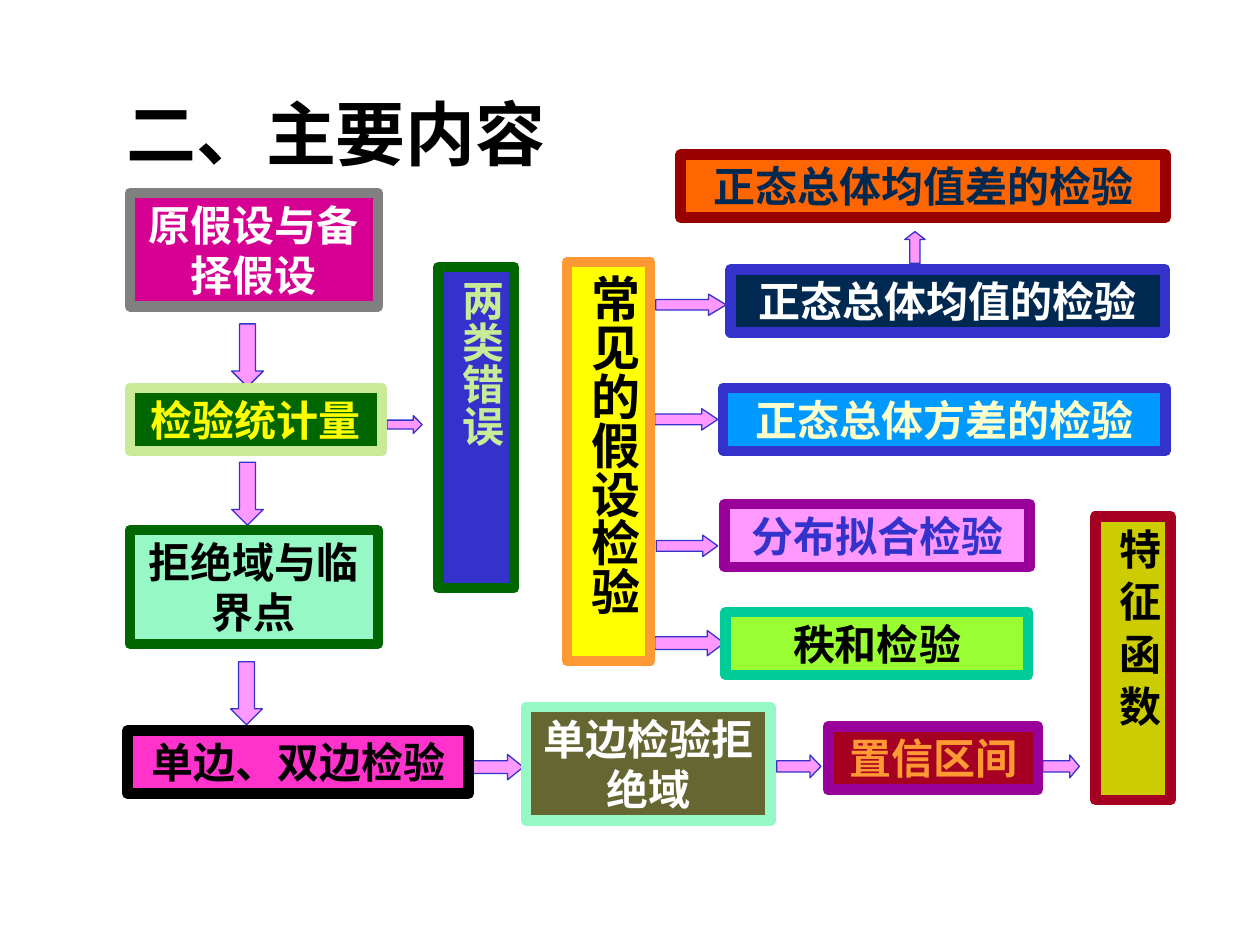
from pptx import Presentation
from pptx.dml.color import RGBColor
from pptx.enum.shapes import MSO_SHAPE
from pptx.enum.text import MSO_ANCHOR, MSO_AUTO_SIZE, PP_ALIGN
from pptx.util import Cm, Pt

FONT = "Times New Roman"
BLACK = RGBColor(0x00, 0x00, 0x00)
WHITE = RGBColor(0xFF, 0xFF, 0xFF)
GRAY = RGBColor(0x80, 0x80, 0x80)
MAGENTA = RGBColor(0xD6, 0x00, 0x93)
ROSE = RGBColor(0xFF, 0x33, 0xCC)
PINK = RGBColor(0xFF, 0x99, 0xFF)
PURPLE = RGBColor(0x99, 0x00, 0x99)
BLUE = RGBColor(0x33, 0x33, 0xCC)
NAVY = RGBColor(0x00, 0x29, 0x52)
SKY = RGBColor(0x00, 0x99, 0xFF)
GREEN = RGBColor(0x00, 0x66, 0x00)
MINT = RGBColor(0x96, 0xF8, 0xC5)
PALE = RGBColor(0xC9, 0xEB, 0x97)
LIME = RGBColor(0x99, 0xFF, 0x33)
TEAL = RGBColor(0x00, 0xCC, 0x99)
OLIVE = RGBColor(0x66, 0x66, 0x33)
MUSTARD = RGBColor(0xCC, 0xCC, 0x00)
YELLOW = RGBColor(0xFF, 0xFF, 0x00)
CREAM = RGBColor(0xFF, 0xFF, 0xCC)
AMBER = RGBColor(0xFF, 0x99, 0x33)
ORANGE = RGBColor(0xFF, 0x66, 0x00)
MAROON = RGBColor(0x99, 0x00, 0x00)
RED = RGBColor(0xA5, 0x00, 0x21)

LOW, HIGH = 1.27, 2.29  # heights of boxes with one and two lines
RIGHT, DOWN, UP = MSO_SHAPE.RIGHT_ARROW, MSO_SHAPE.DOWN_ARROW, MSO_SHAPE.UP_ARROW


def add_form(slide, kind, box, fill, line, weight):
    """Add a flat preset shape; box is left, top, width, height in cm."""
    form = slide.shapes.add_shape(kind, *map(Cm, box))
    form.shadow.inherit = False
    form.fill.solid()
    form.fill.fore_color.rgb = fill
    form.line.color.rgb = line
    form.line.width = Pt(weight)
    return form


def add_arrow(slide, kind, box, head):
    """Add a block arrow; head is the head length over the arrow's thickness."""
    arrow = add_form(slide, kind, box, PINK, BLUE, 0.75)
    arrow.adjustments[0] = 0.5
    arrow.adjustments[1] = head


def set_text(shape, text, size, color, align, anchor):
    frame = shape.text_frame
    frame.text = text
    frame.word_wrap = True
    frame.auto_size = MSO_AUTO_SIZE.SHAPE_TO_FIT_TEXT
    frame.vertical_anchor = anchor
    para = frame.paragraphs[0]
    para.alignment = align
    font = para.font
    font.name, font.size, font.bold = FONT, Pt(size), True
    font.color.rgb = color
    return frame


def add_topic(slide, text, box, fill, line, color, size=24, upright=False):
    """Add a framed topic box, with upright text if asked."""
    topic = add_form(slide, MSO_SHAPE.RECTANGLE, box, fill, line, 6)
    frame = set_text(topic, text, size, color, PP_ALIGN.CENTER, MSO_ANCHOR.TOP)
    frame.paragraphs[0].space_before = Pt(size * 0.625)
    if upright:
        topic.element.txBody.bodyPr.set("vert", "eaVert")
        frame.margin_left = frame.margin_right = Cm(0.13)
        frame.margin_top = frame.margin_bottom = Cm(0.25)


def add_title(slide, left, top, width, height):
    title = slide.shapes.title
    title.left, title.top = Cm(left), Cm(top)
    title.width, title.height = Cm(width), Cm(height)
    set_text(title, "二、主要内容", 40, BLACK, PP_ALIGN.LEFT, MSO_ANCHOR.MIDDLE)


def add_basics(slide, left, top):
    """Column of basic notions, with the two error types beside it."""
    for x, y in ((2.05, 2.64), (2.05, 5.43), (2.03, 9.45)):
        add_arrow(slide, DOWN, (left + x, top + y, 0.64, 1.27), 0.5)
    add_arrow(slide, RIGHT, (left + 5.18, top + 4.49, 0.71, 0.36), 0.49)
    topics = (
        ("原假设与备择假设", 0, 5, HIGH, MAGENTA, GRAY, WHITE),
        ("检验统计量", 3.93, 5.08, LOW, GREEN, PALE, YELLOW),
        ("拒绝域与临界点", 6.8, 5, HIGH, MINT, GREEN, BLACK),
    )
    for text, y, width, height, *colors in topics:
        add_topic(slide, text, (left, top + y, width, height), *colors)
    add_topic(slide, "两类错误", (left + 6.22, top + 1.49, 1.52, 6.48),
              BLUE, GREEN, PALE, upright=True)


def add_tests(slide, left, top):
    """Common tests: an upright heading that branches into its kinds."""
    branches = (
        (1.79, 2.81, 1.42, 0.43, 0.83),
        (1.77, 5.12, 1.27, 0.43, 0.75),
        (1.8, 7.67, 1.24, 0.43, 0.7),
        (1.77, 9.59, 1.4, 0.51, 0.67),
    )
    for x, y, width, height, head in branches:
        add_arrow(slide, RIGHT, (left + x, top + y, width, height), head)
    add_arrow(slide, UP, (left + 6.81, top + 1.55, 0.41, 0.64), 0.39)
    add_topic(slide, "常见的假设检验", (left, top + 2.16, 1.68, 8.05),
              YELLOW, AMBER, BLACK, size=28, upright=True)
    topics = (
        ("正态总体均值差的检验", 2.29, 0, 9.78, ORANGE, MAROON, NAVY),
        ("正态总体均值的检验", 3.3, 2.31, 8.76, NAVY, BLUE, WHITE),
        ("正态总体方差的检验", 3.15, 4.7, 8.92, SKY, BLUE, CREAM),
        ("分布拟合检验", 3.18, 7.04, 6.15, PINK, PURPLE, BLUE),
        ("秩和检验", 3.2, 9.22, 6.1, LIME, TEAL, BLACK),
    )
    for text, x, y, width, *colors in topics:
        add_topic(slide, text, (left + x, top + y, width, LOW), *colors)


def add_sides(slide, left, top):
    """Bottom row from one- and two-sided tests to the upright last topic."""
    links = (
        (6.76, 4.8, 1.22, 0.51, 0.62),
        (13.09, 4.81, 0.89, 0.46, 0.48),
        (18.45, 4.81, 0.74, 0.46, 0.42),
    )
    for x, y, width, height, head in links:
        add_arrow(slide, RIGHT, (left + x, top + y, width, height), head)
    topics = (
        ("单边、双边检验", 0, 4.83 - 0.51, 6.88, LOW, ROSE, BLACK, BLACK),
        ("单边检验拒绝域", 8.03, 3.84, 4.93, HIGH, OLIVE, MINT, WHITE),
        ("置信区间", 14.12, 4.24, 4.24, LOW, RED, PURPLE, AMBER),
    )
    for text, x, y, width, height, *colors in topics:
        add_topic(slide, text, (left + x, top + y, width, height), *colors)
    add_topic(slide, "特 征 函 数", (left + 19.51, top, 1.52, 5.72),
              MUSTARD, RED, BLACK, upright=True)


def main():
    deck = Presentation()
    deck.slide_width, deck.slide_height = Cm(25.4), Cm(19.05)
    slide = deck.slides.add_slide(deck.slide_layouts[5])
    add_title(slide, 2.29, 1.7, 21.59, 1.96)
    add_basics(slide, 2.62, 3.89)
    add_tests(slide, 11.43, 3.12)
    add_sides(slide, 2.57, 10.41)
    deck.save("out.pptx")


if __name__ == "__main__":
    main()
